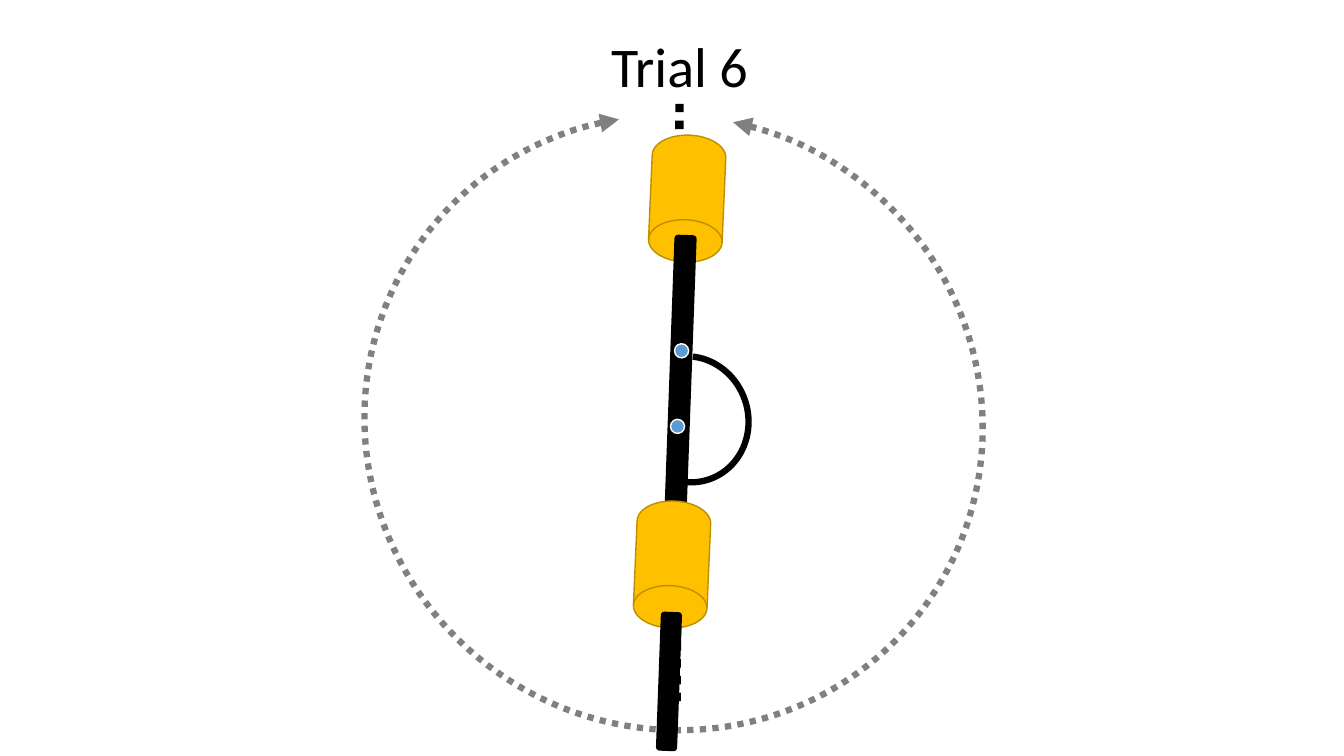
from dataclasses import dataclass

from lxml.etree import SubElement
from pptx import Presentation
from pptx.dml.color import RGBColor
from pptx.enum.dml import MSO_LINE
from pptx.enum.shapes import MSO_CONNECTOR, MSO_SHAPE
from pptx.enum.text import MSO_ANCHOR, MSO_AUTO_SIZE, PP_ALIGN
from pptx.oxml.ns import qn
from pptx.util import Inches, Pt


@dataclass(frozen=True)
class Theme:
    font: str = "Calibri"
    title: float = 40
    thin: float = 1
    bold: float = 4.5
    axis: float = 6
    black: str = "000000"
    gray: str = "808080"
    gold: str = "FFC000"
    edge: str = "BD8E00"
    blue: str = "5B9BD5"
    white: str = "FFFFFF"


class Board:
    def __init__(self, slide, theme):
        self.slide = slide
        self.theme = theme
        self.arm = None

    def group(self):
        self.arm = self.slide.shapes.add_group_shape().shapes

    def stroke(self, line, color, width, dash=None):
        line.color.rgb = RGBColor.from_string(color)
        line.width = Pt(width)
        if dash:
            line.dash_style = dash

    def shape(self, home, kind, box, turn, fill=None):
        item = home.add_shape(kind, *map(Inches, box))
        item.rotation = turn
        item.shadow.inherit = False
        if fill:
            item.fill.solid()
            item.fill.fore_color.rgb = RGBColor.from_string(fill)
        else:
            item.fill.background()
        item.line.fill.background()
        return item

    def title(self, text, box):
        item = self.slide.shapes.title
        item.left, item.top, item.width, item.height = map(Inches, box)
        frame = item.text_frame
        frame.word_wrap = False
        frame.auto_size = MSO_AUTO_SIZE.SHAPE_TO_FIT_TEXT
        frame.vertical_anchor = MSO_ANCHOR.TOP
        par = frame.paragraphs[0]
        par.alignment = PP_ALIGN.CENTER
        run = par.add_run()
        run.text = text
        run.font.name = self.theme.font
        run.font.size = Pt(self.theme.title)
        run.font.color.rgb = RGBColor.from_string(self.theme.black)

    def arc(self, box, turn, ends, color, dash=None, arrows=False):
        item = self.shape(self.slide.shapes, MSO_SHAPE.ARC, box, turn)
        item.adjustments[0], item.adjustments[1] = ends
        self.stroke(item.line, color, self.theme.bold, dash)
        if arrows:
            ln = item.line._get_or_add_ln()
            for tag in ("a:headEnd", "a:tailEnd"):
                SubElement(ln, qn(tag), type="triangle")

    def dots(self, start, end):
        points = map(Inches, start + end)
        item = self.slide.shapes.add_connector(MSO_CONNECTOR.STRAIGHT, *points)
        self.stroke(item.line, self.theme.black, self.theme.axis,
                    MSO_LINE.ROUND_DOT)
        SubElement(item._element.spPr, qn("a:effectLst"))

    def drum(self, left, top):
        item = self.shape(self.arm, MSO_SHAPE.FLOWCHART_MAGNETIC_DISK,
                          (left, top, 0.73, 1.26), 182.5, self.theme.gold)
        self.stroke(item.line, self.theme.edge, self.theme.thin)

    def rod(self, left, top, width, height):
        self.shape(self.arm, MSO_SHAPE.ROUNDED_RECTANGLE,
                   (left, top, width, height), 182.1, self.theme.black)

    def joint(self, left, top):
        item = self.shape(self.arm, MSO_SHAPE.OVAL,
                          (left, top, 0.14, 0.14), 208.2, self.theme.blue)
        self.stroke(item.line, self.theme.white, self.theme.thin)


def main():
    deck = Presentation()
    deck.slide_width, deck.slide_height = Inches(13.33), Inches(7.5)
    theme = Theme()
    board = Board(deck.slides.add_slide(deck.slide_layouts[5]), theme)
    board.arc((3.65, 1.11, 6.06, 6.17), 126.4, (92.88, 80.04), theme.gray,
              MSO_LINE.ROUND_DOT, arrows=True)
    board.dots((6.74, 1.03), (6.71, 6.99))
    board.title("Trial 6", (5.94, 0.26, 1.6, 0.77))
    board.group()
    board.drum(6.45, 1.34)
    board.rod(6.63, 2.33, 0.22, 3.32)
    board.drum(6.3, 4.97)
    board.rod(6.53, 6.07, 0.21, 1.38)
    board.joint(6.69, 3.41)
    board.joint(6.65, 4.16)
    board.arc((6.2, 3.57, 1.26, 1.18), 70.7, (121.9, 16.02), theme.black)
    deck.save("out.pptx")


if __name__ == "__main__":
    main()
